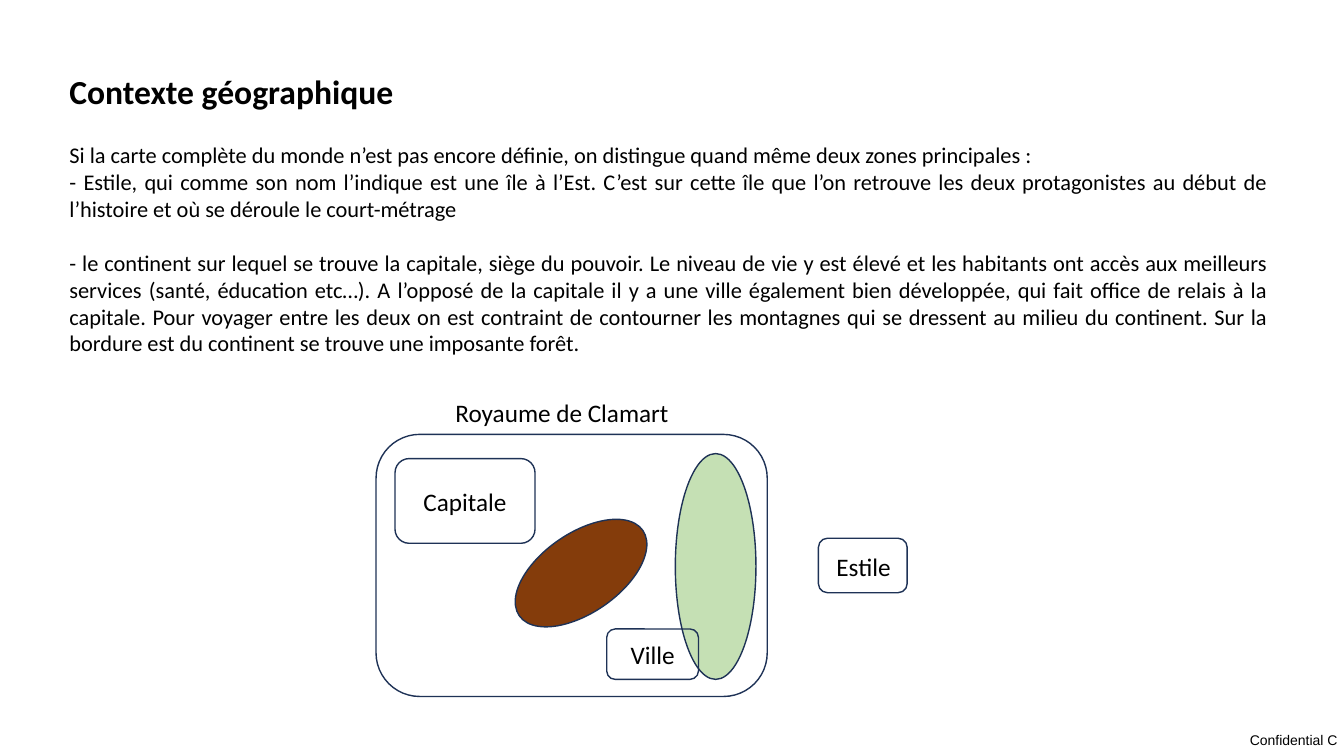
from pptx import Presentation
from pptx.dml.color import RGBColor
from pptx.enum.shapes import MSO_SHAPE
from pptx.enum.text import MSO_ANCHOR, PP_ALIGN
from pptx.util import Pt

FONT = {"name": "Calibri", "size": Pt(18), "bold": False}
ZERO = dict.fromkeys(
    ("margin_left", "margin_top", "margin_right", "margin_bottom"), 0)
INTRO = [
    ("Si la carte complète du monde n’est pas encore définie, on distingue "
     "quand même deux zones principales : ", 0),
    ("- Estile, qui comme son nom l’indique est une île à l’Est. C’est sur "
     "cette île que l’on retrouve les deux protagonistes au début de "
     "l’histoire et où se déroule le court-métrage", 19.5),
    ("- le continent sur lequel se trouve la capitale, siège du pouvoir. Le "
     "niveau de vie y est élevé et les habitants ont accès aux meilleurs "
     "services (santé, éducation etc…). A l’opposé de la capitale il y a une "
     "ville également bien développée, qui fait office de relais à la "
     "capitale. Pour voyager entre les deux on est contraint de contourner "
     "les montagnes qui se dressent au milieu du continent. Sur la bordure "
     "est du continent se trouve une imposante forêt.", 0),
]


def color(code):
    """Turn a hex string into a colour."""
    return RGBColor.from_string(code)


def style(item, values):
    """Set each attribute of item from a dict."""
    for key, value in values.items():
        setattr(item, key, value)


def write(frame, parts, align=PP_ALIGN.LEFT, **font):
    """Fill a text frame with (text, space after) parts."""
    for num, (text, gap) in enumerate(parts):
        para = frame.add_paragraph() if num else frame.paragraphs[0]
        style(para, {"alignment": align, "space_after": Pt(gap)})
        run = para.add_run()
        run.text = text
        style(run.font, {**FONT, **font})
        run.font.color.rgb = color("000000")


def label(slide, box, parts, wrap=True, frame=None, **font):
    """Add a text box."""
    text = slide.shapes.add_textbox(*map(Pt, box)).text_frame
    style(text, {"word_wrap": wrap, **(frame or {})})
    write(text, parts, **font)


def zone(slide, kind, box, text="", fill=None, turn=0):
    """Add an outlined zone of the map."""
    shape = slide.shapes.add_shape(kind, *map(Pt, box))
    shape.shadow.inherit = False
    shape.rotation = turn
    if fill:
        shape.fill.solid()
        shape.fill.fore_color.rgb = color(fill)
    else:
        shape.fill.background()
    shape.line.color.rgb = color("1E3256")
    shape.line.width = Pt(1)
    if text:
        shape.text_frame.vertical_anchor = MSO_ANCHOR.MIDDLE
        write(shape.text_frame, [(text, 0)], PP_ALIGN.CENTER)


def main():
    """Build the slide and save it."""
    deck = Presentation()
    style(deck, {"slide_width": Pt(960), "slide_height": Pt(540)})
    slide = deck.slides.add_slide(deck.slide_layouts[6])
    rect, oval = MSO_SHAPE.ROUNDED_RECTANGLE, MSO_SHAPE.OVAL

    label(slide, (892.8, 522.7, 65.5, 12.2), [("Confidential C", 0)],
          wrap=False, frame=ZERO, name="Arial", size=Pt(10))
    label(slide, (42.5, 97.2, 870.5, 181.4), INTRO,
          align=PP_ALIGN.JUSTIFY, size=Pt(16))
    zone(slide, rect, (268.6, 310.3, 279.4, 187.2))
    zone(slide, rect, (282.2, 327.6, 100, 60.5), "Capitale")
    zone(slide, rect, (584.6, 384.5, 63.4, 38.9))
    label(slide, (318.2, 280.1, 180.7, 28.8), [("Royaume de Clamart", 0)])
    label(slide, (590.4, 390.2, 57.6, 28.8), [("Estile", 0)])
    zone(slide, oval, (482.4, 324, 57.6, 161.3), fill="C5E0B4")
    zone(slide, rect, (433.4, 449.3, 65.5, 36), "Ville")
    zone(slide, oval, (361.4, 380.9, 107.3, 56.9), fill="843C0B", turn=325.4)
    label(slide, (42.5, 46.8, 319, 36), [("Contexte géographique", 0)],
          size=Pt(24), bold=True)
    deck.save("out.pptx")


if __name__ == "__main__":
    main()
